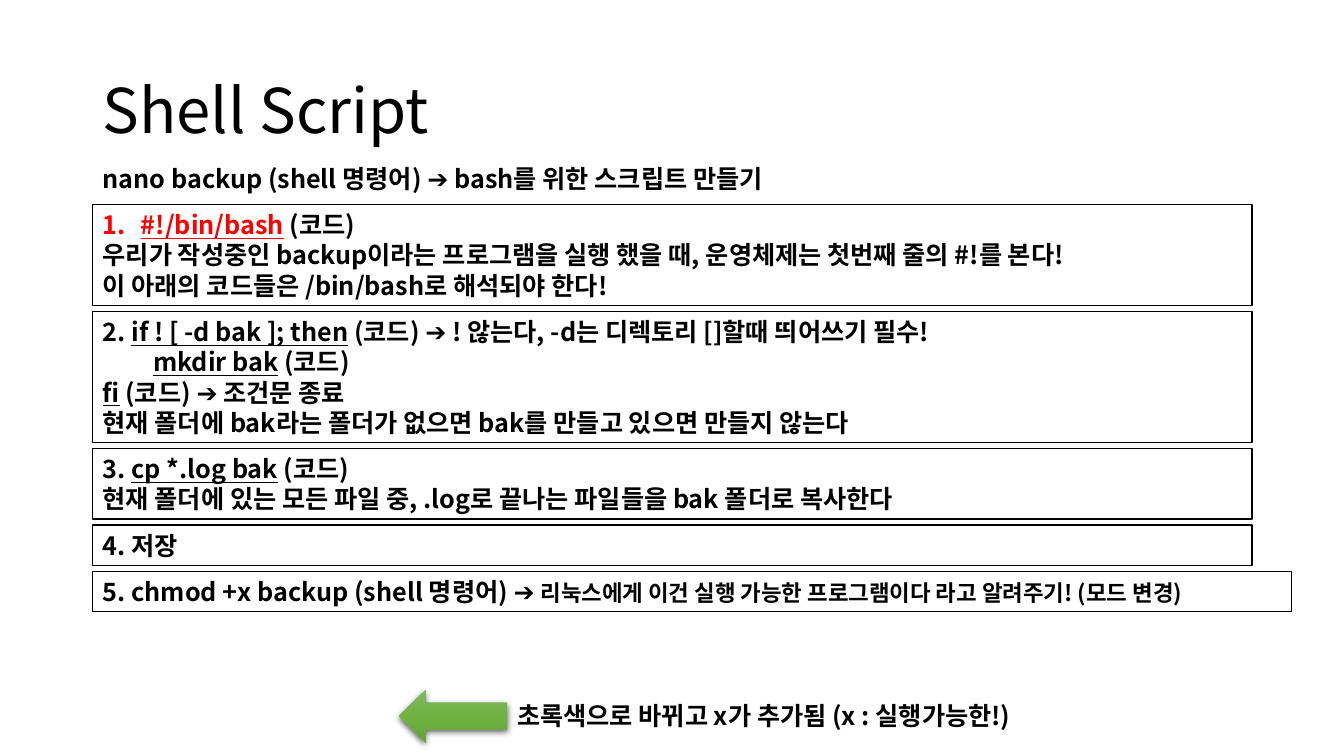
"""Builds the Shell Script slide: numbered steps for writing a backup script."""
from lxml import etree
from pptx import Presentation
from pptx.dml.color import RGBColor
from pptx.enum.shapes import MSO_SHAPE
from pptx.enum.text import MSO_ANCHOR, MSO_AUTO_SIZE
from pptx.oxml import parse_xml
from pptx.oxml.ns import nsdecls, qn
from pptx.util import Inches, Pt

LEFT_ARROW = MSO_SHAPE.LEFT_ARROW
TOP, MIDDLE = MSO_ANCHOR.TOP, MSO_ANCHOR.MIDDLE
FIXED, GROW = MSO_AUTO_SIZE.NONE, MSO_AUTO_SIZE.SHAPE_TO_FIT_TEXT
FONT = "Noto Sans CJK KR"
COLORS = {
    "text": "000000", "code": "FF0000", "box": "FFFFFF", "border": "000000",
    "arrow_top": "81B861", "arrow_middle": "6FB242", "arrow_bottom": "62A336",
    "shadow": "000000",
}
LEFT, BOX_WIDTH = 0.92, 11.5
LINE_HEIGHT, PADDING, GAP = 0.3, 0.1, 0.06
CODE = {"underline": True}
RED = {"color": "code"}

prs = Presentation()
prs.slide_width, prs.slide_height = Inches(13.33), Inches(7.5)
slide = prs.slides.add_slide(prs.slide_layouts[6])


def add_text(paragraphs, left, top, width, height, size=18, bold=True,
             wrap=True, anchor=TOP, fit=GROW, spacing=1.0):
    """Adds paragraphs, each a list of (text, format) runs."""
    box = slide.shapes.add_textbox(*map(Inches, (left, top, width, height)))
    frame = box.text_frame
    frame.word_wrap, frame.auto_size, frame.vertical_anchor = wrap, fit, anchor
    for index, runs in enumerate(paragraphs):
        paragraph = frame.paragraphs[0] if index == 0 else frame.add_paragraph()
        paragraph.line_spacing = spacing
        for text, style in runs:
            run = paragraph.add_run()
            run.text = text
            font = run.font
            font.name, font.bold = FONT, bold
            font.size = Pt(style.get("size", size))
            font.underline = style.get("underline", False)
            font.color.rgb = RGBColor.from_string(COLORS[style.get("color", "text")])
            etree.SubElement(run._r.get_or_add_rPr(), qn("a:ea"), typeface=FONT)
    return box


add_text([[("Shell Script", {})]], LEFT, 0.4, BOX_WIDTH, 1.45,
         size=44, bold=False, anchor=MIDDLE, fit=FIXED, spacing=0.9)
add_text([[("nano backup (shell 명령어) ➔ bash를 위한 스크립트 만들기", {})]],
         LEFT, 1.57, 7.23, 0.4, wrap=False)

steps = [
    (BOX_WIDTH, [
        [("#!/bin/bash", CODE | RED), (" ", RED), ("(코드)", {})],
        [("우리가 작성중인 backup이라는 프로그램을 실행 했을 때, "
          "운영체제는 첫번째 줄의 #!를 본다! ", {})],
        [("이 아래의 코드들은 /bin/bash로 해석되야 한다!", {})],
    ]),
    (BOX_WIDTH, [
        [("2. ", {}), ("if ! [ -d bak ]; then", CODE),
         (" (코드) ➔ ! 않는다, -d는 디렉토리 []할때 띄어쓰기 필수!", {})],
        [("\t", {}), ("mkdir bak", CODE), (" (코드)", {})],
        [("fi", CODE), (" (코드) ➔ 조건문 종료", {})],
        [("현재 폴더에 bak라는 폴더가 없으면 bak를 만들고 있으면 만들지 않는다", {})],
    ]),
    (BOX_WIDTH, [
        [("3. ", {}), ("cp *.log bak", CODE), (" (코드)", {})],
        [("현재 폴더에 있는 모든 파일 중, .log로 끝나는 파일들을 "
          "bak 폴더로 복사한다", {})],
    ]),
    (BOX_WIDTH, [[("4. 저장", {})]]),
    (11.89, [
        [("5. chmod +x backup (shell 명령어) ➔ ", {}),
         ("리눅스에게 이건 실행 가능한 프로그램이다 라고 알려주기! (모드 변경) ",
          {"size": 16})],
    ]),
]
step_boxes = []
step_top = 2.03
for step_width, lines in steps:
    step_height = PADDING + LINE_HEIGHT * len(lines)
    step_box = add_text(lines, LEFT, step_top, step_width, step_height)
    step_box.fill.solid()
    step_box.fill.fore_color.rgb = RGBColor.from_string(COLORS["box"])
    step_box.line.color.rgb = RGBColor.from_string(COLORS["border"])
    step_box.line.width = Pt(1)
    step_boxes.append(step_box)
    step_top += step_height + GAP

numbering = step_boxes[0].text_frame.paragraphs[0]._p.get_or_add_pPr()
numbering.set("marL", str(Inches(0.38)))
numbering.set("indent", str(Inches(-0.38)))
etree.SubElement(numbering, qn("a:buFont"), typeface="+mj-lt")
etree.SubElement(numbering, qn("a:buAutoNum"), type="arabicPeriod")

arrow = slide.shapes.add_shape(LEFT_ARROW, *map(Inches, (3.96, 6.84, 1.07, 0.53)))
arrow.line.fill.background()
stops = "".join(
    f'<a:gs pos="{position}"><a:srgbClr val="{COLORS[name]}"/></a:gs>'
    for position, name in ((0, "arrow_top"), (50000, "arrow_middle"),
                           (100000, "arrow_bottom")))
arrow_properties = arrow._element.spPr
arrow_properties.insert(2, parse_xml(
    f'<a:gradFill {nsdecls("a")} rotWithShape="1"><a:gsLst>{stops}</a:gsLst>'
    '<a:lin ang="5400000" scaled="0"/></a:gradFill>'))
arrow_properties.append(parse_xml(
    f'<a:effectLst {nsdecls("a")}><a:outerShdw blurRad="{Pt(4.5)}" dist="{Pt(1.5)}" '
    f'dir="5400000" algn="ctr" rotWithShape="0"><a:srgbClr val="{COLORS["shadow"]}">'
    '<a:alpha val="63000"/></a:srgbClr></a:outerShdw></a:effectLst>'))

add_text([[("초록색으로 바뀌고 x가 추가됨 (x : 실행가능한!)", {})]],
         5.03, 6.9, 5.63, 0.4, wrap=False)

prs.save("out.pptx")
